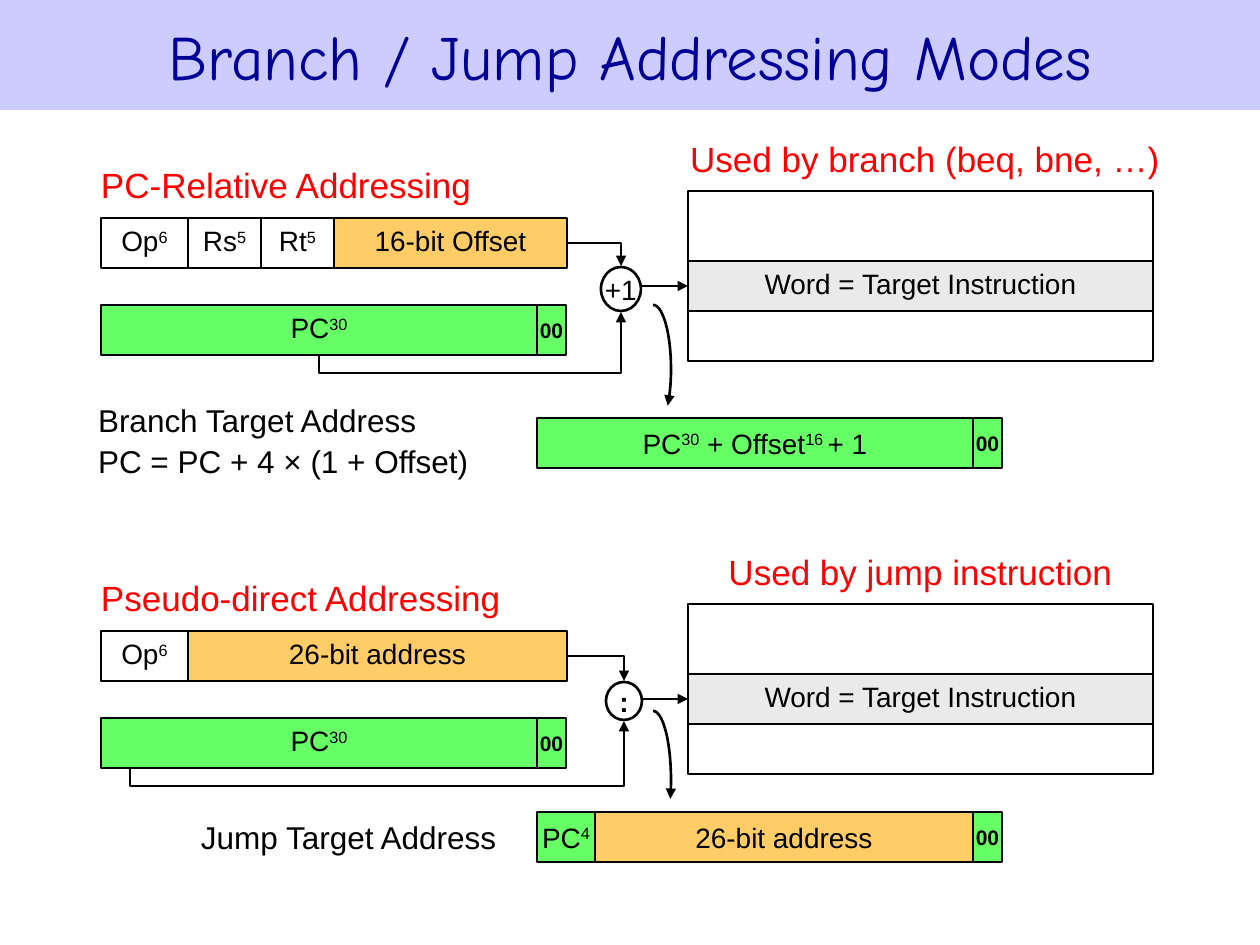
from math import cos, radians, sin

from pptx import Presentation
from pptx.dml.color import RGBColor
from pptx.enum.shapes import MSO_CONNECTOR, MSO_SHAPE
from pptx.enum.text import MSO_ANCHOR, PP_ALIGN
from pptx.oxml.ns import qn
from pptx.oxml.xmlchemy import OxmlElement
from pptx.util import Emu, Pt

SCALE = 914400 / 126  # EMU per px
COLORS = {
    "banner": "CCCCFF", "title": "000099", "heading": "FF0000", "ink": "000000",
    "white": "FFFFFF", "immediate": "FFCC66", "counter": "66FF66", "word": "EAEAEA",
}
BLOCK_STEP = 413  # distance between the two addressing modes
ROW_HEIGHT = 50
LEFT, MEMORY_LEFT, MEMORY_WIDTH = 101, 688, 465
BYTE_BITS = (29, "00", "counter")


def px(value):
    return Emu(round(value * SCALE))


def color(name):
    return RGBColor.from_string(COLORS[name])


def write(shape, text, size, ink="ink", align=PP_ALIGN.CENTER, bold=False,
          spacing=None, font="Arial"):
    """Fill a shape with text; pieces between ^ marks are superscripts."""
    frame = shape.text_frame
    frame.word_wrap = False
    frame.vertical_anchor = MSO_ANCHOR.MIDDLE
    frame.margin_left = frame.margin_right = frame.margin_top = frame.margin_bottom = 0
    for index, line in enumerate(text.split("\n")):
        paragraph = frame.add_paragraph() if index else frame.paragraphs[0]
        paragraph.alignment = align
        if index:
            paragraph.space_before = Pt(2)
        if spacing:
            paragraph.line_spacing = spacing
        for position, piece in enumerate(line.split("^")):
            if not piece:
                continue
            run = paragraph.add_run()
            run.text = piece
            run.font.name, run.font.size, run.font.bold = font, Pt(size), bold
            run.font.color.rgb = color(ink)
            if position % 2:
                run.font._element.set("baseline", "30000")


def add_label(slide, x, y, width, height, text, size, ink="ink", align=PP_ALIGN.LEFT):
    label = slide.shapes.add_textbox(px(x), px(y), px(width), px(height))
    write(label, text, size, ink, align)


def outline(shape):
    shape.line.color.rgb = color("ink")
    shape.line.width = Pt(1.5)


def add_box(slide, x, y, width, height, fill=None, kind=MSO_SHAPE.RECTANGLE, border=True):
    box = slide.shapes.add_shape(kind, px(x), px(y), px(width), px(height))
    box.shadow.inherit = False
    if fill:
        box.fill.solid()
        box.fill.fore_color.rgb = color(fill)
    else:
        box.fill.background()
    if border:
        outline(box)
    else:
        box.line.fill.background()
    return box


def add_row(slide, x, y, fields, spacing=None):
    """Place instruction or address fields side by side."""
    for width, text, fill in fields:
        field = add_box(slide, x, y, width, ROW_HEIGHT, fill)
        if text == "00":
            write(field, text, 12, bold=True)
        else:
            write(field, text, 16, spacing=spacing)
        x += width


def add_arrowhead(shape):
    head = OxmlElement("a:tailEnd")
    head.set("type", "triangle")
    shape.line._get_or_add_ln().append(head)


def add_arrow(slide, start, end, kind=MSO_CONNECTOR.STRAIGHT):
    arrow = slide.shapes.add_connector(kind, *map(px, start + end))
    outline(arrow)
    add_arrowhead(arrow)
    arrow.element.spPr.append(OxmlElement("a:effectLst"))
    return arrow


def add_corner_arrow(slide, start, end):
    """Run right, then down."""
    arrow = add_arrow(slide, start, end, MSO_CONNECTOR.ELBOW)
    arrow.element.spPr.find(qn("a:prstGeom")).set("prst", "bentConnector2")


def add_under_arrow(slide, start, end, drop):
    """Run down by drop, right, then up: an elbow turned a quarter."""
    run, rise = end[0] - start[0], start[1] - end[1]
    center_x, center_y = (start[0] + end[0]) / 2, (start[1] + end[1]) / 2
    arrow = add_arrow(slide, (center_x + rise / 2, center_y + run / 2),
                      (center_x - rise / 2, center_y - run / 2), MSO_CONNECTOR.ELBOW)
    properties = arrow.element.spPr
    properties.find(qn("a:xfrm")).set("rot", "5400000")
    guide = OxmlElement("a:gd")
    guide.set("name", "adj1")
    guide.set("fmla", f"val {round(-100000 * drop / rise)}")
    properties.find(qn("a:prstGeom")).find(qn("a:avLst")).append(guide)


def add_arc_arrow(slide, x, y, radius_x, radius_y, end_angle, steps=30):
    """Follow an ellipse from its top at (x, y) clockwise to end_angle."""
    angles = [radians(-90 + (end_angle + 90) * i / steps) for i in range(steps + 1)]
    points = [(px(x + radius_x * cos(a)), px(y + radius_y + radius_y * sin(a)))
              for a in angles]
    builder = slide.shapes.build_freeform(*points[0], scale=1.0)
    builder.add_line_segments(points[1:], close=False)
    arc = builder.convert_to_shape()
    arc.shadow.inherit = False
    arc.fill.background()
    outline(arc)
    add_arrowhead(arc)


def add_mode(slide, top, heading, usage, usage_width, fields, joiner, circle, tap_x):
    """Draw one addressing mode: instruction, PC, joining circle and memory."""
    # Headings
    add_label(slide, LEFT, top + 24, 465, 58, heading, 20, "heading")
    add_label(slide, MEMORY_LEFT, top, usage_width, 55, usage, 20, "heading", PP_ALIGN.CENTER)

    # Memory with the target word
    word = add_box(slide, MEMORY_LEFT, top + 130, MEMORY_WIDTH, ROW_HEIGHT, "word")
    write(word, "Word = Target Instruction", 16, spacing=0.85)
    add_box(slide, MEMORY_LEFT, top + 60, MEMORY_WIDTH, 170)

    # Instruction and program counter
    add_row(slide, LEFT, top + 87, [(87, "Op^6", "white")] + fields, 0.85)
    add_row(slide, LEFT, top + 174, [(436, "PC^30", "counter"), BYTE_BITS], 0.85)

    # Joining circle and its arrows
    x, y, width, height = circle
    join = add_box(slide, x, y, width, height, "white", MSO_SHAPE.OVAL)
    write(join, joiner, 16, bold=joiner == ":")
    middle = x + width / 2
    add_under_arrow(slide, (tap_x, top + 225), (middle, y + height + 1), 17)
    add_corner_arrow(slide, (567, top + 112), (middle, y - 1))
    word_middle = top + 130 + ROW_HEIGHT / 2
    to_memory = add_arrow(slide, (x + width, word_middle), (MEMORY_LEFT, word_middle))
    to_memory.end_connect(word, 1)


def main():
    presentation = Presentation()
    presentation.slide_width, presentation.slide_height = px(1260), px(945)
    slide = presentation.slides.add_slide(presentation.slide_layouts[6])

    # Title banner
    banner = add_box(slide, 0, 0, 1260, 110, "banner", border=False)
    write(banner, "Branch / Jump Addressing Modes", 36, "title", font="Comic Neue")

    # PC-relative addressing
    branch_top = 131
    add_mode(slide, branch_top, "PC-Relative Addressing", "Used by branch (beq, bne, …)", 474,
             [(73, "Rs^5", "white"), (73, "Rt^5", "white"), (233, "16-bit Offset", "immediate")],
             "+1", (601, 267, 40, 44), 319)
    add_label(slide, 98, 406, 433, 69,
              "Branch Target Address\nPC = PC + 4 × (1 + Offset)", 18)
    add_row(slide, 537, 418, [(436, "PC^30^ + Offset^16 ^+ 1", "counter"), BYTE_BITS])
    add_arc_arrow(slide, 653, 305, 18, 64, 35)

    # Pseudo-direct addressing
    add_mode(slide, branch_top + BLOCK_STEP, "Pseudo-direct Addressing",
             "Used by jump instruction", MEMORY_WIDTH, [(379, "26-bit address", "immediate")],
             ":", (606, 682, 36, 38), 130)
    add_label(slide, 201, 812, 330, ROW_HEIGHT, "Jump Target Address", 18)
    add_row(slide, 537, 812, [(58, "PC^4", "counter"), (378, "26-bit address", "immediate"),
                              BYTE_BITS])
    add_arc_arrow(slide, 653, 711, 18, 69, 16)

    presentation.save("out.pptx")


if __name__ == "__main__":
    main()
